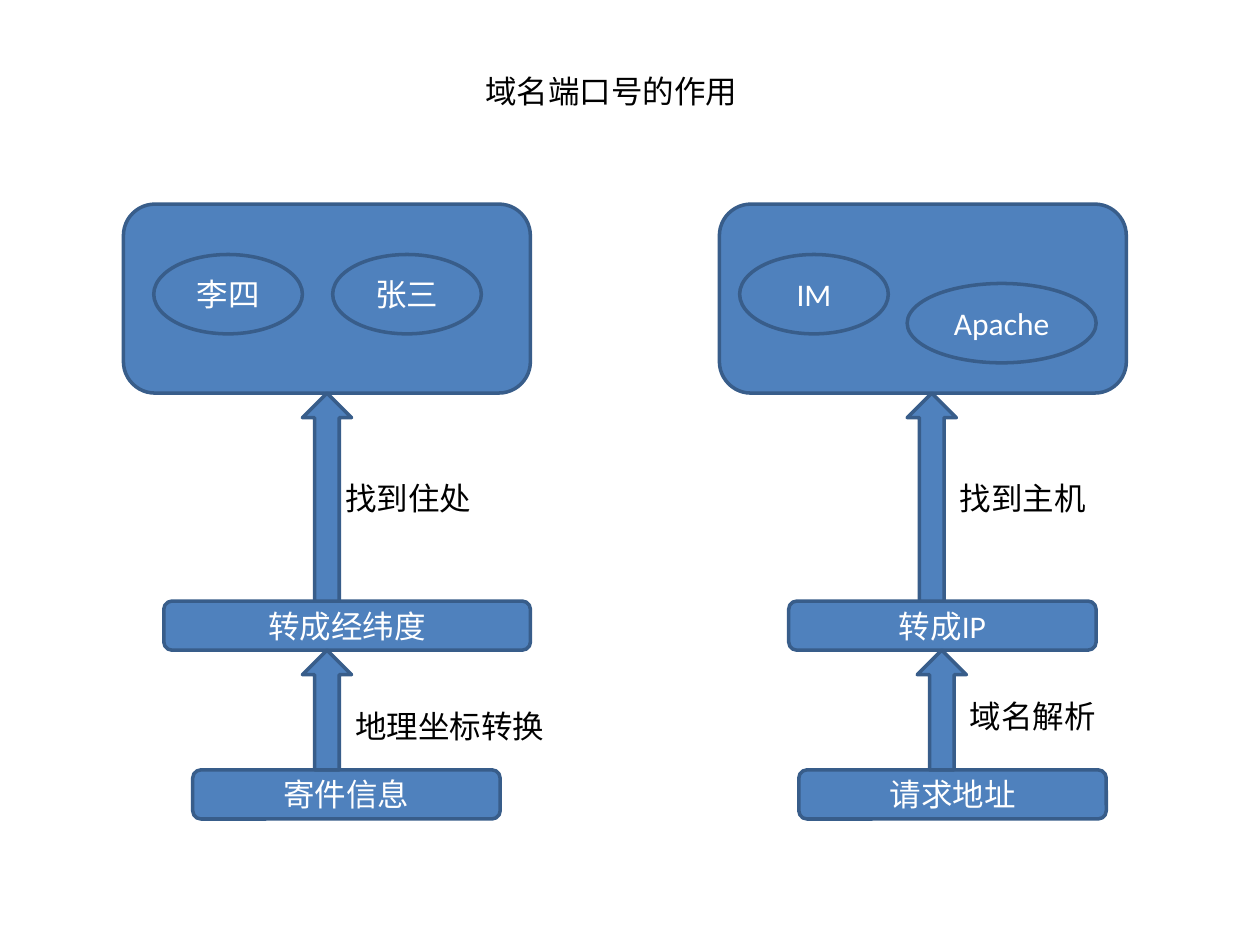
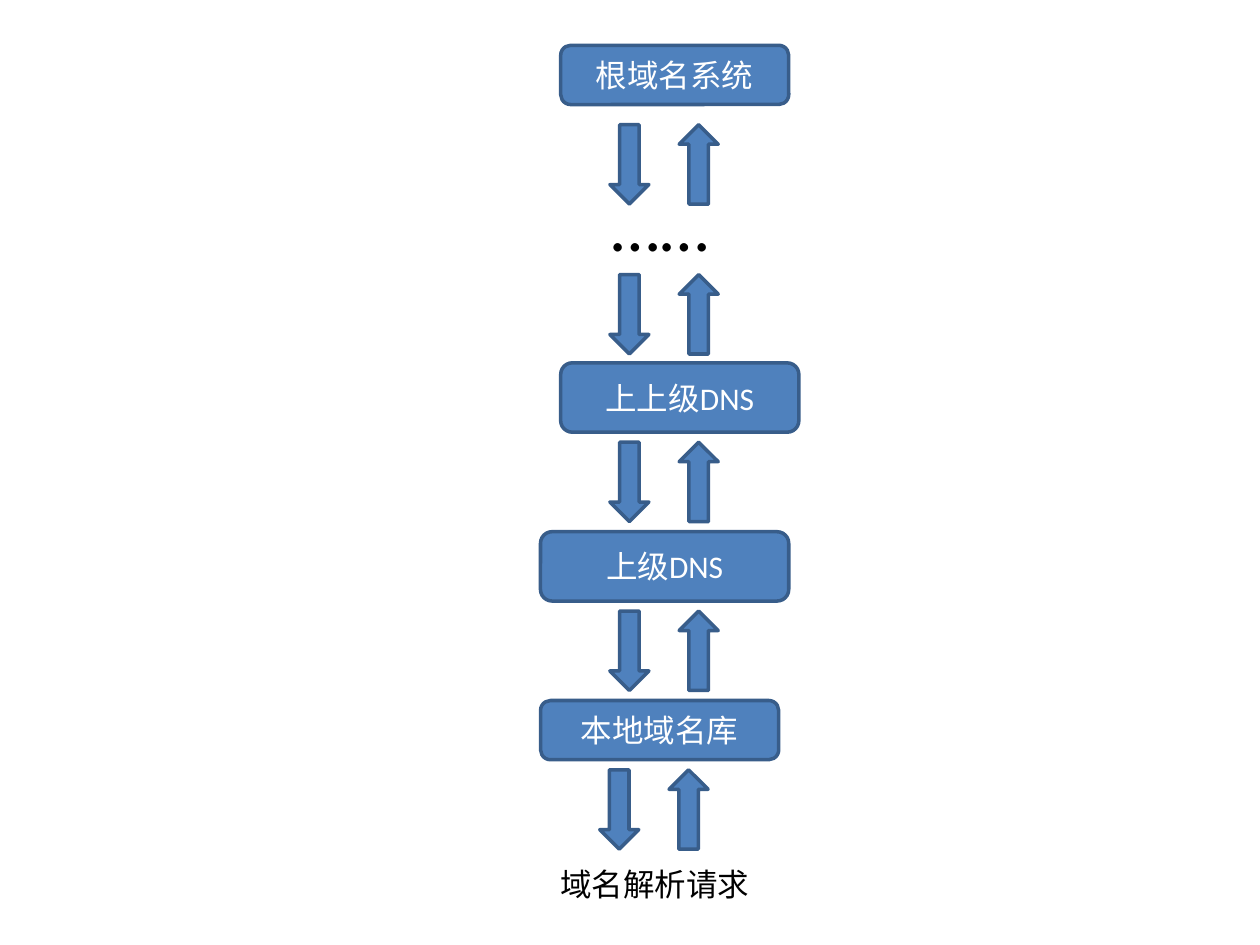
from pptx import Presentation
from pptx.dml.color import RGBColor
from pptx.enum.shapes import MSO_SHAPE as Shape
from pptx.enum.text import MSO_ANCHOR as Anchor, MSO_AUTO_SIZE as AutoSize, PP_ALIGN as Align
from pptx.util import Inches, Pt

# Shared look
FONT, SIZE = "Calibri", 18
FILL, OUTLINE, WHITE, BLACK = "4F81BD", "385D8A", "FFFFFF", "000000"

# Slide 1: two parallel flows, each read from the bottom up
TITLE = "域名端口号的作用"
PANEL_TOP, PANEL_W, PANEL_H = 1.62, 3.23, 1.5
MIDDLE_TOP, BOTTOM_TOP, STEP_H = 4.77, 6.11, 0.39
ARROW_W, OVAL_H = 0.39, 0.63
FLOWS = [
    dict(panel=0.98,
         ovals=[("李四", 1.22, 2.02, 1.18), ("张三", 2.64, 2.02, 1.18)],
         middle=("转成经纬度", 1.3, 2.91), bottom=("寄件信息", 1.53, 2.44),
         arrows=(2.4, 2.4),
         labels=[("找到住处", 2.64, 3.75, 1.34), ("地理坐标转换", 2.72, 5.56, 1.81)]),
    dict(panel=5.71,
         ovals=[("IM", 5.87, 2.02, 1.18), ("Apache", 7.2, 2.25, 1.5)],
         middle=("转成IP", 6.26, 2.44), bottom=("请求地址", 6.34, 2.44),
         arrows=(7.2, 7.28),
         labels=[("找到主机", 7.52, 3.75, 1.34), ("域名解析", 7.6, 5.48, 1.34)]),
]

# Slide 2: chain of name servers, with a down and an up arrow between levels
SERVERS = [  # text, left, top, width, height
    ("根域名系统", 4.45, 0.36, 1.81, 0.47),
    ("上上级DNS", 4.45, 2.88, 1.89, 0.55),
    ("上级DNS", 4.29, 4.22, 1.97, 0.55),
    ("本地域名库", 4.29, 5.56, 1.89, 0.47),
]
ARROW_PAIRS = [(4.84, 0.99), (4.84, 2.18), (4.84, 3.51), (4.84, 4.85), (4.76, 6.11)]
PAIR_STEP, PAIR_W, PAIR_H = 0.55, 0.31, 0.63
CHAIN_TEXTS = [  # text, left, top, width, height, size
    ("……", 4.69, 1.39, 1.1, 0.77, 40),
    ("域名解析请求", 4.21, 6.82, 1.97, 0.4, SIZE),
]


def rgb(value):
    return RGBColor.from_string(value)


def write(sp, text, color, align, anchor, size=SIZE):
    tf = sp.text_frame
    tf.text = text
    frame = dict(word_wrap=True, auto_size=AutoSize.NONE, vertical_anchor=anchor,
                 margin_left=Inches(0.1), margin_right=Inches(0.1),
                 margin_top=Inches(0.05), margin_bottom=Inches(0.05))
    for name, value in frame.items():
        setattr(tf, name, value)
    p = tf.paragraphs[0]
    p.alignment = align
    font = p.runs[0].font
    for name, value in dict(name=FONT, size=Pt(size)).items():
        setattr(font, name, value)
    font.color.rgb = rgb(color)


def add_block(s, kind, left, top, width, height, text=None):
    sp = s.shapes.add_shape(kind, *map(Inches, (left, top, width, height)))
    sp.shadow.inherit = False
    sp.fill.solid()
    sp.fill.fore_color.rgb = rgb(FILL)
    sp.line.color.rgb = rgb(OUTLINE)
    sp.line.width = Pt(2)
    if text:
        write(sp, text, WHITE, Align.CENTER, Anchor.MIDDLE)


def add_label(s, text, left, top, width, height=0.4, size=SIZE, align=Align.LEFT):
    sp = s.shapes.add_textbox(*map(Inches, (left, top, width, height)))
    write(sp, text, BLACK, align, Anchor.TOP, size)


def add_title(s, text, left, top, width, height):
    sp = s.shapes.title
    place = dict(left=left, top=top, width=width, height=height)
    for name, value in place.items():
        setattr(sp, name, Inches(value))
    write(sp, text, BLACK, Align.LEFT, Anchor.TOP)


def build_flows(s):
    add_title(s, TITLE, 3.75, 0.52, 2.5, 0.4)
    panel_bottom = PANEL_TOP + PANEL_H
    middle_bottom = MIDDLE_TOP + STEP_H
    for flow in FLOWS:
        add_block(s, Shape.ROUNDED_RECTANGLE, flow["panel"], PANEL_TOP, PANEL_W, PANEL_H)
        for text, left, top, width in flow["ovals"]:
            add_block(s, Shape.OVAL, left, top, width, OVAL_H, text)
        for step, top in (("middle", MIDDLE_TOP), ("bottom", BOTTOM_TOP)):
            text, left, width = flow[step]
            add_block(s, Shape.ROUNDED_RECTANGLE, left, top, width, STEP_H, text)
        # Each arrow fills the gap between two levels
        gaps = [(panel_bottom, MIDDLE_TOP), (middle_bottom, BOTTOM_TOP)]
        for left, (top, end) in zip(flow["arrows"], gaps):
            add_block(s, Shape.UP_ARROW, left, top, ARROW_W, end - top)
        for label in flow["labels"]:
            add_label(s, *label)


def build_chain(s):
    for text, *box in SERVERS:
        add_block(s, Shape.ROUNDED_RECTANGLE, *box, text)
    for left, top in ARROW_PAIRS:
        for i, kind in enumerate((Shape.DOWN_ARROW, Shape.UP_ARROW)):
            add_block(s, kind, left + i * PAIR_STEP, top, PAIR_W, PAIR_H)
    for label in CHAIN_TEXTS:
        add_label(s, *label, align=Align.CENTER)


def main():
    prs = Presentation()
    prs.slide_width, prs.slide_height = Inches(10), Inches(7.5)
    title_only, blank = prs.slide_layouts[5], prs.slide_layouts[6]
    build_flows(prs.slides.add_slide(title_only))
    build_chain(prs.slides.add_slide(blank))
    prs.save("out.pptx")


if __name__ == "__main__":
    main()
